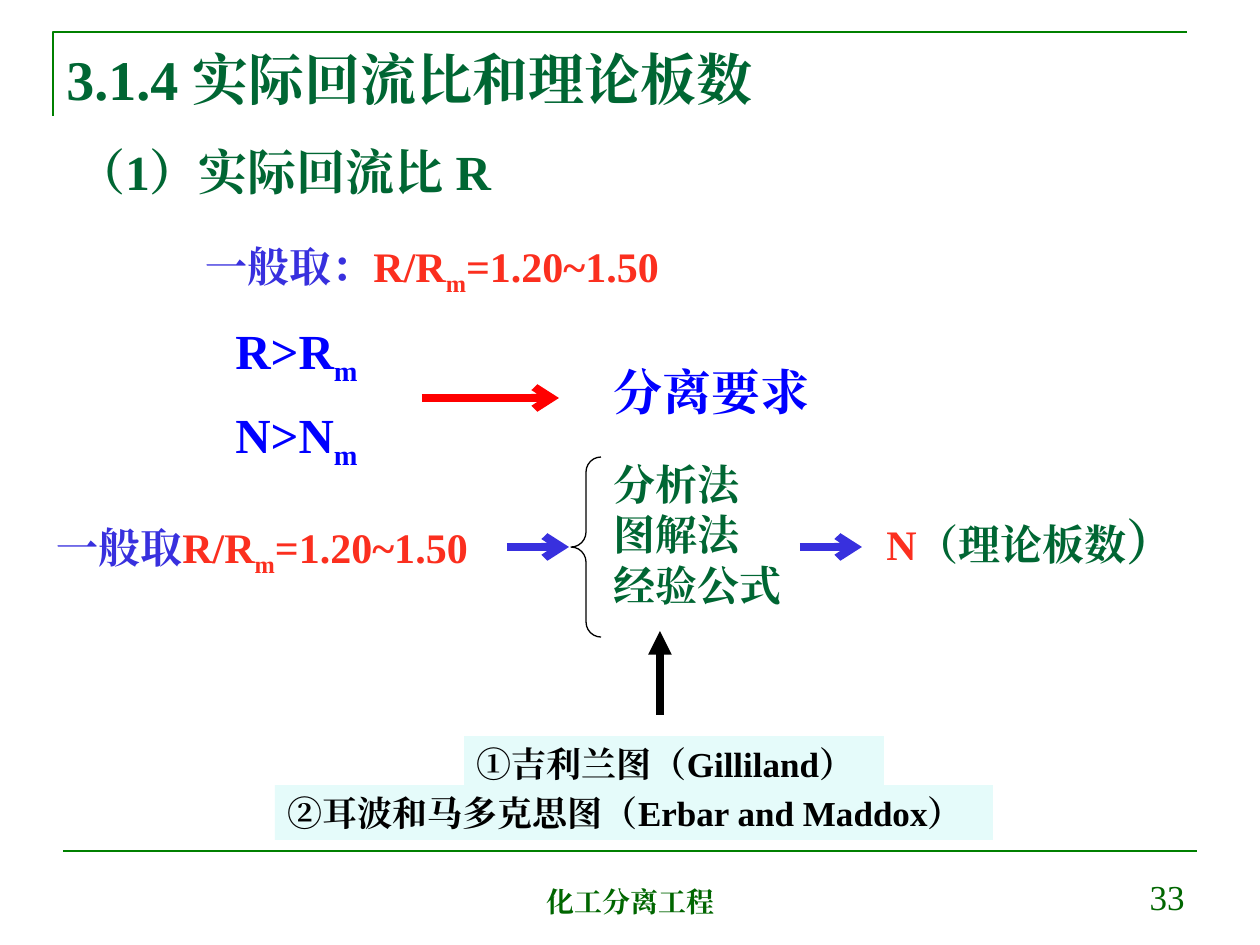
import pptx
import pptx.util
import pptx.dml.color
import pptx.enum.shapes
import pptx.enum.text
import pptx.oxml.ns
from lxml import etree

RGBColor = pptx.dml.color.RGBColor
MSO_SHAPE = pptx.enum.shapes.MSO_SHAPE
PP_ALIGN = pptx.enum.text.PP_ALIGN
MSO_ANCHOR = pptx.enum.text.MSO_ANCHOR
qn = pptx.oxml.ns.qn

RULE_GREEN = RGBColor(0x00, 0x80, 0x00)
TEXT_GREEN = RGBColor(0x00, 0x66, 0x33)
FOOTER_GREEN = RGBColor(0x00, 0x66, 0x00)
BLUE = RGBColor(0x00, 0x00, 0xFF)
VIOLET = RGBColor(0x38, 0x30, 0xDE)
RED = RGBColor(0xFF, 0x00, 0x00)
WARM_RED = RGBColor(0xFB, 0x2F, 0x1F)
BLACK = RGBColor(0x00, 0x00, 0x00)
PALE_CYAN = RGBColor(0xE5, 0xFB, 0xFA)

SERIF = "Times New Roman"
SANS = "Noto Sans CJK SC"
EMU_PER_PX = 914400 / 126


def px(length):
    return pptx.util.Emu(round(length * EMU_PER_PX))


def add_run(paragraph, text, color=None, size=None, name=None, subscript=False):
    run = paragraph.add_run()
    run.text = text
    if color is not None:
        run.font.color.rgb = color
    if size is not None:
        run.font.size = pptx.util.Pt(size)
    if name is not None:
        run.font.name = name
    if subscript:
        run._r.get_or_add_rPr().set("baseline", "-25000")


def style_paragraph(paragraph, size, color, bold=True, align=PP_ALIGN.LEFT):
    paragraph.alignment = align
    paragraph.font.size = pptx.util.Pt(size)
    paragraph.font.bold = bold
    paragraph.font.color.rgb = color
    paragraph.font.name = SERIF
    properties = paragraph._p.pPr.find(qn("a:defRPr"))
    etree.SubElement(properties, qn("a:ea")).set("typeface", SERIF)


def add_text(slide, box, lines, size, color, bold=True,
             align=PP_ALIGN.LEFT, anchor=MSO_ANCHOR.TOP):
    frame = slide.shapes.add_textbox(*map(px, box)).text_frame
    frame.word_wrap = True
    frame.vertical_anchor = anchor
    for index, runs in enumerate(lines):
        paragraph = frame.add_paragraph() if index else frame.paragraphs[0]
        style_paragraph(paragraph, size, color, bold, align)
        for text, options in runs:
            add_run(paragraph, text, **options)


def add_line(slide, start, end, color, width, head=None):
    line = slide.shapes.add_connector(
        pptx.enum.shapes.MSO_CONNECTOR.STRAIGHT, *map(px, start + end))
    line.line.color.rgb = color
    line.line.width = pptx.util.Pt(width)
    properties = line._element.spPr
    if head:
        outline = properties.find(qn("a:ln"))
        etree.SubElement(outline, qn("a:tailEnd")).set("type", head)
    etree.SubElement(properties, qn("a:effectLst"))


def add_title_frame(slide):
    builder = slide.shapes.build_freeform(53, 116, scale=EMU_PER_PX)
    builder.add_line_segments([(53, 32), (1187, 32)], close=False)
    shape = builder.convert_to_shape()
    shape.shadow.inherit = False
    shape.fill.background()
    shape.line.color.rgb = RULE_GREEN
    shape.line.width = pptx.util.Pt(1.5)


def add_brace(slide, box):
    brace = slide.shapes.add_shape(MSO_SHAPE.LEFT_BRACE, *map(px, box))
    brace.shadow.inherit = False
    brace.adjustments[0] = 0.5
    brace.fill.background()
    brace.line.color.rgb = BLACK
    brace.line.width = pptx.util.Pt(0.75)


def add_method_label(slide, box, chinese, author):
    shape = slide.shapes.add_shape(MSO_SHAPE.RECTANGLE, *map(px, box))
    shape.shadow.inherit = False
    shape.fill.solid()
    shape.fill.fore_color.rgb = PALE_CYAN
    shape.line.fill.background()
    frame = shape.text_frame
    frame.word_wrap = False
    frame.vertical_anchor = MSO_ANCHOR.TOP
    paragraph = frame.paragraphs[0]
    style_paragraph(paragraph, 20, BLACK)
    for text, name in ((chinese, SANS), (author, SERIF), ("）", SANS)):
        add_run(paragraph, text, color=BLACK, name=name)


def plain(text):
    return [(text, {})]


def with_minimum(letter):
    return [(letter + ">" + letter, {}), ("m", {"subscript": True})]


def ratio_rule(label):
    return [
        (label, {"color": VIOLET}),
        ("R/R", {}),
        ("m", {"subscript": True}),
        ("=1.20~1.50", {}),
    ]


def main():
    presentation = pptx.Presentation()
    presentation.slide_width = px(1260)
    presentation.slide_height = px(945)
    slide = presentation.slides.add_slide(presentation.slide_layouts[6])

    add_title_frame(slide)
    add_line(slide, (63, 851), (1197, 851), RULE_GREEN, 1.5)
    add_text(slide, (54, 35, 1071, 87), [plain("3.1.4 实际回流比和理论板数")],
             32, TEXT_GREEN, anchor=MSO_ANCHOR.MIDDLE)
    add_text(slide, (64, 135, 576, 72), [plain("（1）实际回流比 R")], 28, TEXT_GREEN)
    add_text(slide, (193, 234, 596, 71), [ratio_rule("一般取：")], 24, WARM_RED)

    for letter, top in (("R", 314), ("N", 398)):
        add_text(slide, (223, top, 171, 74), [with_minimum(letter)], 28, BLUE)
    add_line(slide, (422, 398), (559, 398), RED, 4.5, "arrow")
    add_text(slide, (601, 355, 231, 74), [plain("分离要求")], 28, BLUE)

    add_text(slide, (44, 515, 441, 121), [ratio_rule("一般取")], 24, WARM_RED)
    methods = ("分析法", "图解法", "经验公式")
    add_text(slide, (601, 452, 224, 221), [plain(name) for name in methods],
             24, TEXT_GREEN)
    add_brace(slide, (571, 457, 30, 180))
    for left in (507, 800):
        add_line(slide, (left, 547), (left + 62, 547), VIOLET, 4.5, "arrow")
    plate_count = [("N", {"color": WARM_RED}), ("（理论板数", {}), ("）", {"size": 28})]
    add_text(slide, (874, 505, 336, 73), [plate_count], 24, TEXT_GREEN)

    add_method_label(slide, (464, 736, 420, 55), "①吉利兰图（", "Gilliland")
    add_method_label(slide, (275, 785, 718, 55), "②耳波和马多克思图（",
                     "Erbar and Maddox")
    add_line(slide, (660, 715), (660, 631), BLACK, 4.5, "triangle")

    add_text(slide, (431, 861, 399, 63), [plain("化工分离工程")], 16, FOOTER_GREEN,
             align=PP_ALIGN.CENTER, anchor=MSO_ANCHOR.BOTTOM)
    add_text(slide, (903, 861, 294, 63), [plain("33")], 20, FOOTER_GREEN,
             bold=False, align=PP_ALIGN.RIGHT, anchor=MSO_ANCHOR.BOTTOM)

    presentation.save("out.pptx")


if __name__ == "__main__":
    main()
